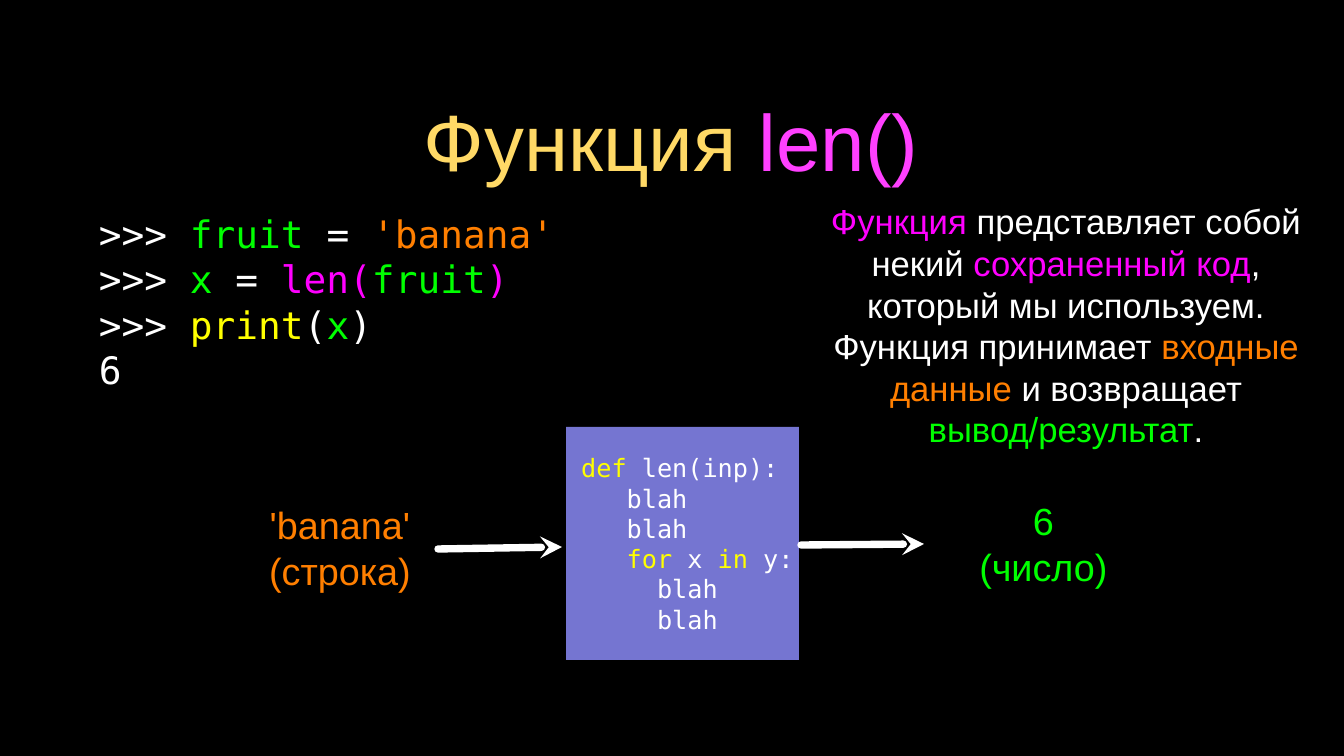
from lxml import etree
from pptx import Presentation
from pptx.dml.color import RGBColor
from pptx.enum.shapes import MSO_CONNECTOR, MSO_SHAPE
from pptx.enum.text import MSO_ANCHOR, PP_ALIGN
from pptx.oxml.ns import qn
from pptx.util import Emu, Pt

LEFT, CENTER = PP_ALIGN.LEFT, PP_ALIGN.CENTER
MIDDLE = MSO_ANCHOR.MIDDLE
RECTANGLE = MSO_SHAPE.RECTANGLE
STRAIGHT = MSO_CONNECTOR.STRAIGHT

BLACK = RGBColor(0x00, 0x00, 0x00)
WHITE = RGBColor(0xFF, 0xFF, 0xFF)
GOLD = RGBColor(0xFF, 0xD9, 0x66)
PINK = RGBColor(0xFF, 0x40, 0xFF)
MAGENTA = RGBColor(0xFF, 0x00, 0xFF)
ORANGE = RGBColor(0xFF, 0x7F, 0x00)
GREEN = RGBColor(0x00, 0xFF, 0x00)
YELLOW = RGBColor(0xFF, 0xFF, 0x00)
VIOLET = RGBColor(0x75, 0x75, 0xD1)

SANS, MONO = "Arial", "DejaVu Sans Mono"
LINE_PITCH = 1.2
EMU_PER_PX = 12096

TITLE = [[("Функция ", GOLD), ("len()", PINK)]]
PROMPT = (">>> ", WHITE)
SESSION = [
    [PROMPT, ("fruit ", GREEN), ("=", WHITE), (" 'banana'", ORANGE)],
    [PROMPT, ("x ", GREEN), ("= ", WHITE), ("len(", MAGENTA),
     ("fruit", GREEN), (")", MAGENTA)],
    [PROMPT, ("print", YELLOW), ("(", WHITE), ("x", GREEN), (")", WHITE)],
    [("6", WHITE)],
]
OUTER_BLAH = [("    blah", WHITE)]
INNER_BLAH = [("      blah", WHITE)]
DEFINITION = [
    [(" def ", YELLOW), ("len(inp):", WHITE)],
    OUTER_BLAH,
    OUTER_BLAH,
    [("    for", YELLOW), (" x ", WHITE), ("in", YELLOW), (" y:", WHITE)],
    INNER_BLAH,
    INNER_BLAH,
]
EXPLANATION = [[
    ("Функция ", MAGENTA),
    ("представляет собой некий ", WHITE),
    ("сохраненный код", MAGENTA),
    (", который мы используем. Функция принимает ", WHITE),
    ("входные данные ", ORANGE),
    ("и возвращает ", WHITE),
    ("вывод/результат", GREEN),
    (".", WHITE),
]]
INPUT = [[("'banana'", ORANGE)], [("(строка)", ORANGE)]]
OUTPUT = [[("6", GREEN)], [("(число)", GREEN)]]


def px(*lengths):
    """Turn pixel lengths into EMU."""
    return [Emu(length * EMU_PER_PX) for length in lengths]


def fill_text(box, lines, size, font, align):
    """Write lines of coloured spans into a box."""
    frame = box.text_frame
    frame.word_wrap = True
    frame.vertical_anchor = MIDDLE
    frame.margin_left = frame.margin_right = 0
    frame.margin_top = frame.margin_bottom = 0
    for index, line in enumerate(lines):
        para = frame.add_paragraph() if index else frame.paragraphs[0]
        para.alignment = align
        para.line_spacing = Pt(size * LINE_PITCH)
        for text, color in line:
            span = para.add_run()
            span.text = text
            span.font.size = Pt(size)
            span.font.name = font
            span.font.color.rgb = color


def add_text(page, area, lines, size, font=SANS, align=CENTER):
    """Add a text box."""
    box = page.shapes.add_textbox(*px(*area))
    fill_text(box, lines, size, font, align)


def add_code_block(page, area, lines, size):
    """Add a filled rectangle holding code."""
    block = page.shapes.add_shape(RECTANGLE, *px(*area))
    block.shadow.inherit = False
    block.fill.solid()
    block.fill.fore_color.rgb = VIOLET
    block.line.fill.background()
    fill_text(block, lines, size, MONO, LEFT)


def add_arrow(page, tip, base):
    """Add a thick white arrow pointing at its tip."""
    arrow = page.shapes.add_connector(STRAIGHT, *px(*tip, *base))
    arrow.line.color.rgb = WHITE
    arrow.line.width = Pt(7)
    outline = arrow.line._get_or_add_ln()
    outline.set("cap", "rnd")
    etree.SubElement(outline, qn("a:round"))
    etree.SubElement(outline, qn("a:headEnd"), type="stealth")
    etree.SubElement(arrow._element.spPr, qn("a:effectLst"))


def main():
    """Build the slide about len()."""
    deck = Presentation()
    deck.slide_width, deck.slide_height = px(1344, 756)
    page = deck.slides.add_slide(deck.slide_layouts[6])
    page.background.fill.solid()
    page.background.fill.fore_color.rgb = BLACK

    add_text(page, (95, 69, 1152, 141), TITLE, 76)
    add_code_block(page, (566, 427, 233, 233), DEFINITION, 24)
    add_arrow(page, (562, 547), (438, 549))
    add_text(page, (265, 502, 150, 91), INPUT, 36)
    add_text(page, (946, 496, 195, 95), OUTPUT, 36)
    add_arrow(page, (924, 544), (801, 545))
    add_text(page, (99, 210, 466, 183), SESSION, 36, MONO, LEFT)
    add_text(page, (813, 180, 506, 290), EXPLANATION, 33)
    deck.save("out.pptx")


if __name__ == "__main__":
    main()
